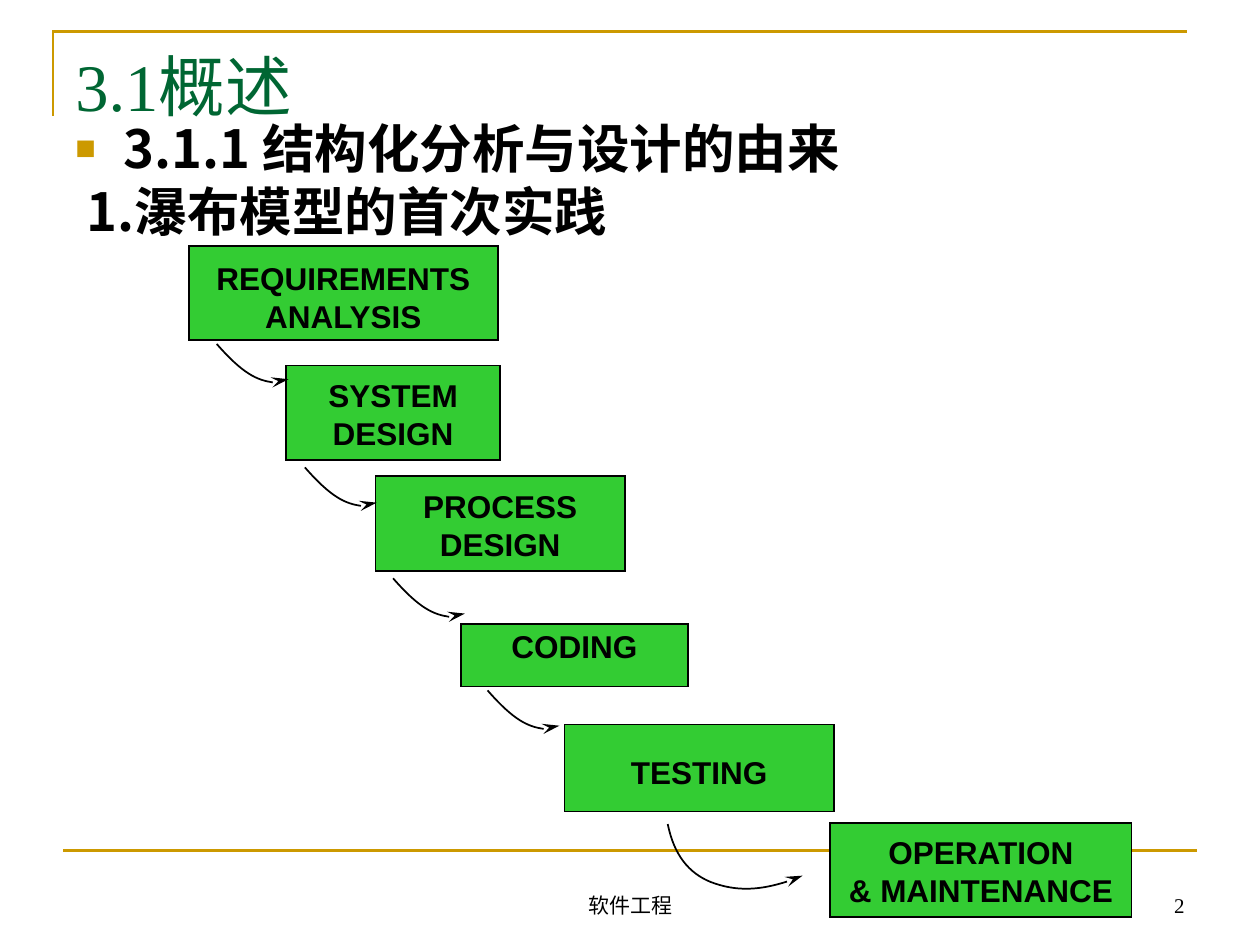
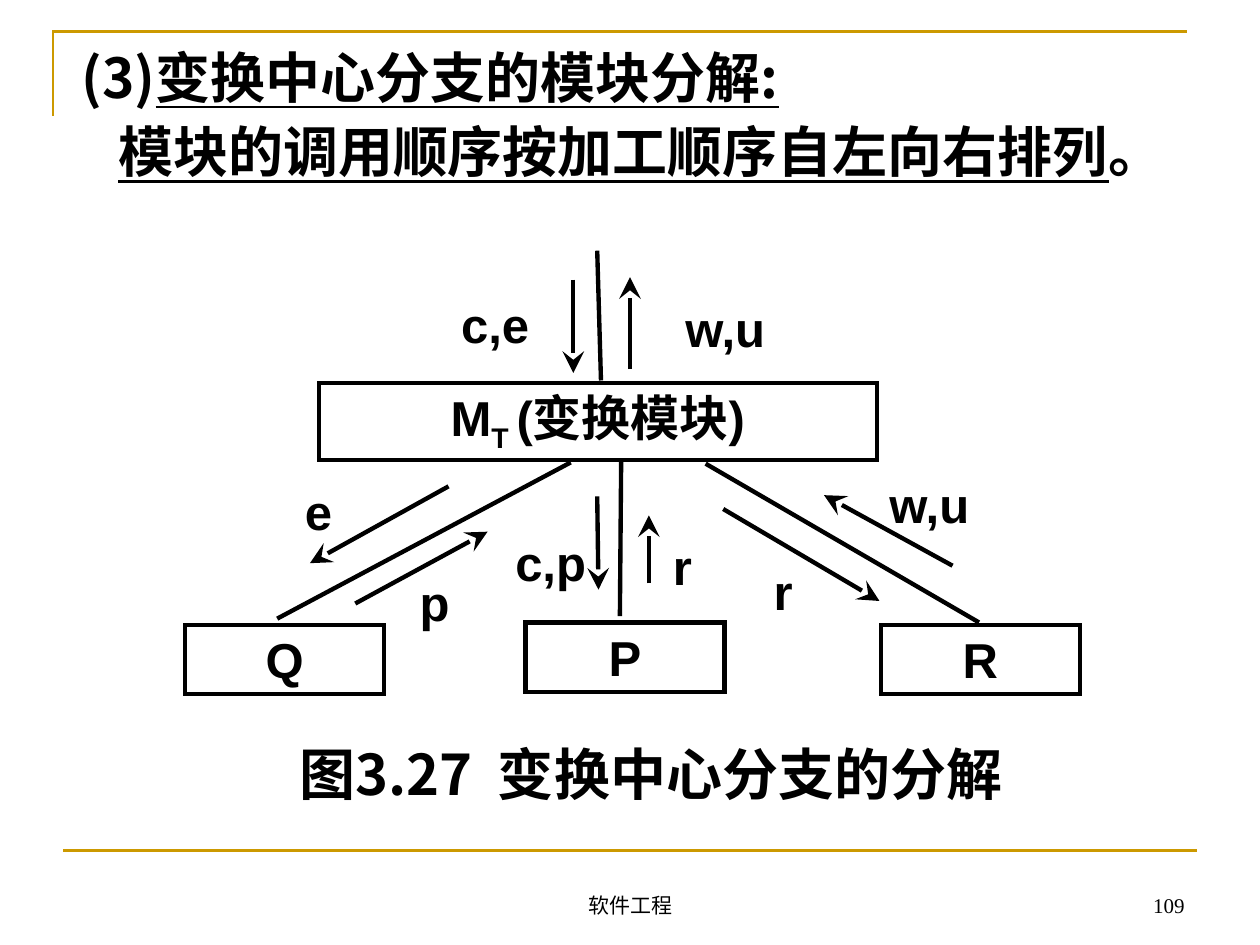
from lxml import etree
from pptx import Presentation, util as u
from pptx.dml.color import RGBColor
from pptx.enum import shapes, text
from pptx.oxml import ns

COLORS = {"gold": "CC9900", "green": "006633", "step": "33CC33", "ink": "000000"}
CJK = "Noto Sans CJK SC"
LINE_HEIGHT = 1.2

TITLE = {"name": "Times New Roman", "size": 38, "color": "green"}
HEADING = {"name": CJK, "size": 30, "bold": True}
RULE = {"name": CJK, "size": 31.4, "bold": True}
CAPTION = {"name": CJK, "size": 32, "bold": True}
STEP = {"name": "Arial", "size": 18, "bold": True}
LABEL = {"name": "Arial", "size": 28, "bold": True}
FOOTER = {"name": "Times New Roman", "size": 12}

COURSE = "软件工程"
CORNER = [(0.42, 0.92), (0.42, 0.25), (9.42, 0.25)]
BASELINE = (0.5, 6.75, 9.5, 6.75)

STEPS = [
    (["REQUIREMENTS", "ANALYSIS"], (1.5, 1.95, 2.45, 0.75), 0.03),
    (["SYSTEM", "DESIGN"], (2.27, 2.9, 1.7, 0.75), 0.01),
    (["PROCESS", "DESIGN"], (2.98, 3.78, 1.98, 0.75), 0.01),
    (["CODING"], (3.66, 4.95, 1.8, 0.5), -0.07),
    (["TESTING"], (4.48, 5.75, 2.14, 0.69), 0.03),
    (["OPERATION", "& MAINTENANCE"], (6.59, 6.53, 2.39, 0.75), 0.01),
]
SHORT_BEND = [(0, 0), (0.21, 0.24), (0.46, 0.37), (0.57, 0.28)]
SHORT_STARTS = [(1.72, 2.73), (2.42, 3.71), (3.12, 4.59), (3.87, 5.48)]
LONG_BEND = [(5.3, 6.54), (5.35, 6.79), (5.47, 6.93), (5.64, 7),
             (5.85, 7.08), (6.12, 7.06), (6.37, 6.95)]

MODULES = [
    ([("M", {}), ("T ", {"base": -25}), ("(变换模块)", {})], (2.53, 3.04, 4.43, 0.61), 0.1),
    ([("Q", {})], (1.47, 4.96, 1.58, 0.55), 0.04),
    ([("P", {})], (4.17, 4.94, 1.58, 0.55), 0.04),
    ([("R", {})], (6.99, 4.96, 1.58, 0.55), 0.04),
]
CALLS = [
    (4.74, 1.99, 4.77, 3.02), (2.2, 4.91, 4.53, 3.67),
    (4.93, 3.65, 4.92, 4.89), (5.6, 3.68, 7.77, 4.94),
]
DATA_FLOWS = [
    (4.55, 2.22, 4.55, 2.96), (5, 2.93, 5, 2.2),
    (3.56, 3.86, 2.46, 4.47), (2.82, 4.79, 3.87, 4.22),
    (4.74, 3.94, 4.75, 4.68), (5.15, 4.63, 5.15, 4.09),
    (5.74, 4.04, 6.98, 4.77), (7.56, 4.49, 6.54, 3.93),
]
DATA_LABELS = [
    ("c,e", 3.58, 2.3, 0.86), ("w,u", 5.36, 2.33, 1.1),
    ("e", 2.34, 3.78, 0.39), ("p", 3.25, 4.5, 0.73),
    ("c,p", 4.01, 4.19, 0.73), ("r", 5.26, 4.22, 0.49),
    ("r", 6.06, 4.42, 0.28), ("w,u", 6.98, 3.73, 0.83),
]


def rgb(color):
    return RGBColor.from_string(COLORS[color])


def add_xml(parent, tag, **attributes):
    child = etree.SubElement(parent, ns.qn("a:" + tag))
    for key, value in attributes.items():
        child.set(key, str(value))
    return child


def write_run(paragraph, words, style):
    run = paragraph.add_run()
    run.text = words
    values = {"name": style["name"], "size": u.Pt(style["size"]),
              "bold": style.get("bold", False), "underline": style.get("underline", False)}
    for key, value in values.items():
        setattr(run.font, key, value)
    run.font.color.rgb = rgb(style.get("color", "ink"))
    properties = run.font._element
    add_xml(properties, "ea", typeface=CJK)
    if "base" in style:
        properties.set("baseline", str(style["base"] * 1000))


def write(shape, paragraphs, style, align="LEFT", anchor="TOP", insets=(0.1, 0.05, 0.1, 0.05),
          wrap=True, spacing=LINE_HEIGHT, gap=0, indents=None, bullet=False):
    frame = shape.text_frame
    sides = ("margin_left", "margin_top", "margin_right", "margin_bottom")
    values = dict(zip(sides, map(u.Inches, insets)))
    values.update(word_wrap=wrap, vertical_anchor=getattr(text.MSO_ANCHOR, anchor))
    for key, value in values.items():
        setattr(frame, key, value)
    for index, runs in enumerate(paragraphs):
        paragraph = frame.add_paragraph() if index else frame.paragraphs[0]
        properties = paragraph._p.get_or_add_pPr()
        if indents:
            margin, first = indents[index]
            properties.set("marL", str(u.Inches(margin)))
            properties.set("indent", str(u.Inches(first)))
        if bullet and index == 0:
            add_xml(add_xml(properties, "buClr"), "srgbClr", val=COLORS["gold"])
            add_xml(properties, "buSzPct", val=65000)
            add_xml(properties, "buFont", typeface="Arial")
            add_xml(properties, "buChar", char="■")
        layout = {"alignment": getattr(text.PP_ALIGN, align),
                  "line_spacing": u.Pt(style["size"] * spacing),
                  "space_before": u.Pt(gap if index else 0)}
        for key, value in layout.items():
            setattr(paragraph, key, value)
        for words, changes in runs:
            write_run(paragraph, words, {**style, **changes})


def add_words(slide, place, paragraphs, style, **layout):
    box = slide.shapes.add_textbox(*map(u.Inches, place))
    write(box, paragraphs, style, **layout)


def add_box(slide, place, width, fill=None):
    box = slide.shapes.add_shape(shapes.MSO_SHAPE.RECTANGLE, *map(u.Inches, place))
    box.shadow.inherit = False
    if fill:
        box.fill.solid()
        box.fill.fore_color.rgb = rgb(fill)
    else:
        box.fill.background()
    outline(box, "ink", width)
    return box


def outline(shape, color, width, arrow=None):
    shape.line.color.rgb = rgb(color)
    shape.line.width = u.Pt(width)
    line_format = shape.line._get_or_add_ln()
    add_xml(line_format, "miter", lim=800000)
    if arrow:
        add_xml(line_format, "tailEnd", type="stealth", w=arrow, len="lg")


def add_line(slide, ends, color, width, arrow=None):
    line = slide.shapes.add_connector(shapes.MSO_CONNECTOR.STRAIGHT, *map(u.Inches, ends))
    outline(line, color, width, arrow)
    add_xml(line._element.spPr, "effectLst")


def add_path(slide, points, color, width, arrow=None):
    start, *rest = [(u.Inches(x), u.Inches(y)) for x, y in points]
    builder = slide.shapes.build_freeform(*start)
    builder.add_line_segments(rest, close=False)
    outline_path = builder.convert_to_shape()
    outline_path.shadow.inherit = False
    outline_path.fill.background()
    outline(outline_path, color, width, arrow)
    return outline_path


def add_curve(slide, points):
    curve = add_path(slide, points, "ink", 1, "med")
    segments = list(curve._element.iter(ns.qn("a:lnTo")))
    route = segments[0].getparent()
    for first in range(0, len(segments), 3):
        bend = add_xml(route, "cubicBezTo")
        for segment in segments[first:first + 3]:
            bend.append(segment[0])
            route.remove(segment)


def start_slide(deck):
    slide = deck.slides.add_slide(deck.slide_layouts[6])
    add_path(slide, CORNER, "gold", 1.5)
    add_line(slide, BASELINE, "gold", 1.5)
    return slide


def add_footer(slide, number):
    for words, left, width, align in ((COURSE, 3.42, 3.17, "CENTER"), (number, 7.17, 2.33, "RIGHT")):
        add_words(slide, (left, 6.83, width, 0.5), [[(words, {})]], FOOTER,
                  align=align, anchor="BOTTOM")


def waterfall_slide(deck):
    slide = start_slide(deck)
    add_words(slide, (0.5, 0.31, 9, 1.25), [[("3.1概述", {})]], TITLE)
    add_words(slide, (0.5, 0.87, 9, 5.84),
              [[("3.1.1 结构化分析与设计的由来", {})], [("1.瀑布模型的首次实践", {})]],
              HEADING, indents=[(0.38, -0.38), (0.09, 0)], bullet=True)
    for lines, place, drop in STEPS:
        box = add_box(slide, place, 1, "step")
        write(box, [[(line, {})] for line in lines], STEP, align="CENTER", anchor="MIDDLE",
              insets=(0, max(2 * drop, 0), 0, max(-2 * drop, 0)), wrap=False)
    for left, top in SHORT_STARTS:
        add_curve(slide, [(left + x, top + y) for x, y in SHORT_BEND])
    add_curve(slide, LONG_BEND)
    add_footer(slide, "2")


def transform_slide(deck):
    slide = start_slide(deck)
    marked = {"underline": True}
    add_words(slide, (0.55, 0.35, 9, 1.31),
              [[("(3)", {}), ("变换中心分支的模块分解:", marked)],
               [("模块的调用顺序按加工顺序自左向右排列", marked), ("。", {})]],
              RULE, spacing=0.9 * LINE_HEIGHT, gap=8.5, indents=[(0, 0), (0.29, 0)])
    for runs, place, top_inset in MODULES:
        write(add_box(slide, place, 2.5), [runs], LABEL, align="CENTER",
              insets=(0.08, top_inset, 0.08, 0.04))
    for ends in CALLS:
        add_line(slide, ends, "ink", 2.5)
    for ends in DATA_FLOWS:
        add_line(slide, ends, "ink", 2.5, "lg")
    for words, left, top, width in DATA_LABELS:
        add_words(slide, (left, top, width, 0.55), [[(words, {})]], LABEL,
                  insets=(0.08, 0.04, 0, 0.04))
    add_words(slide, (1.82, 5.83, 6.69, 0.62), [[("图3.27  变换中心分支的分解", {})]],
              CAPTION, align="CENTER", insets=(0.08, 0.04, 0.08, 0.04))
    add_footer(slide, "109")


def main():
    deck = Presentation()
    deck.slide_width, deck.slide_height = u.Inches(10), u.Inches(7.5)
    waterfall_slide(deck)
    transform_slide(deck)
    deck.save("out.pptx")


if __name__ == "__main__":
    main()
